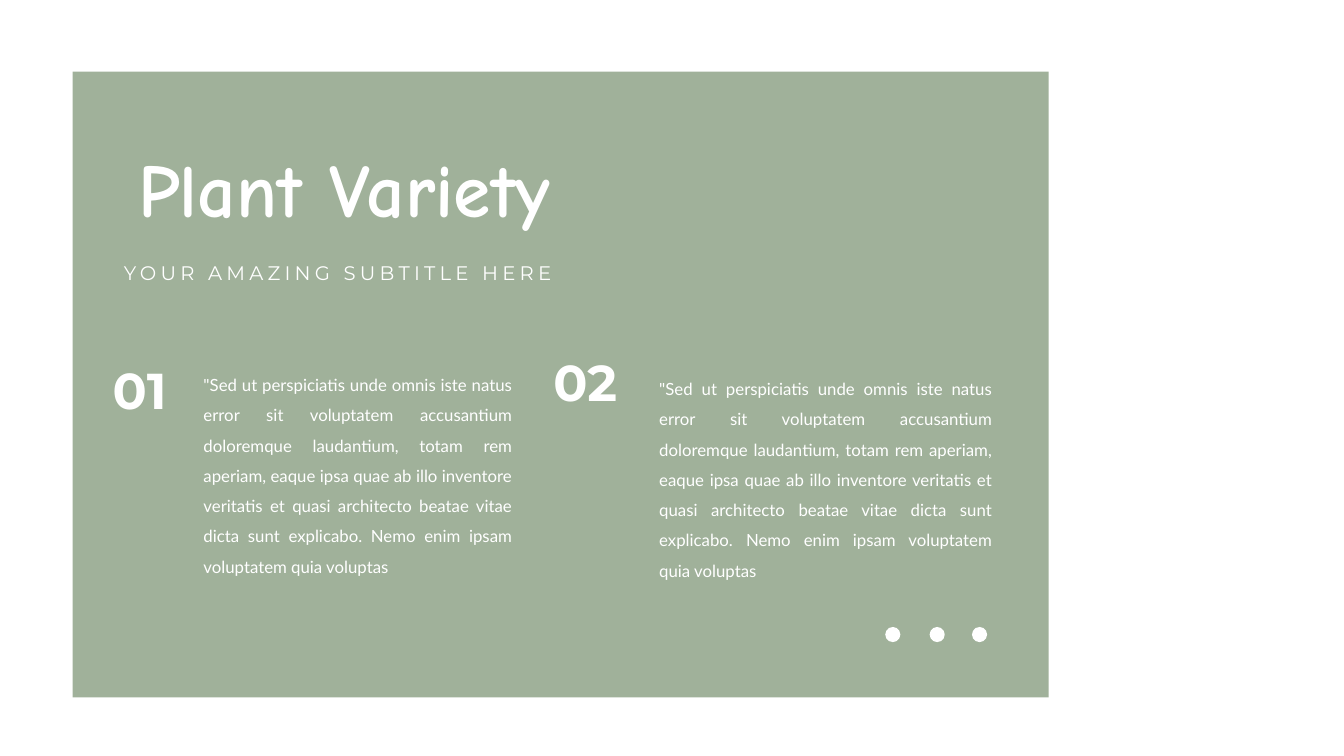
from pptx import Presentation
from pptx.dml.color import RGBColor
from pptx.enum.shapes import MSO_SHAPE as Shape
from pptx.enum.text import MSO_ANCHOR as Anchor, MSO_AUTO_SIZE as AutoSize, PP_ALIGN as Align
from pptx.util import Inches, Pt

SAGE = "A0B19A"
WHITE = "FFFFFF"
BODY = (
    '"Sed ut perspiciatis unde omnis iste natus error sit voluptatem accusantium '
    "doloremque laudantium, totam rem aperiam, eaque ipsa quae ab illo inventore "
    "veritatis et quasi architecto beatae vitae dicta sunt explicabo. Nemo enim "
    "ipsam voluptatem quia voluptas"
)

presentation = Presentation()
presentation.slide_width = Inches(13.33)
presentation.slide_height = Inches(7.5)
slide = presentation.slides.add_slide(presentation.slide_layouts[5])


def add_filled(kind, left, top, width, height, color):
    shape = slide.shapes.add_shape(
        kind, Inches(left), Inches(top), Inches(width), Inches(height))
    shape.shadow.inherit = False
    shape.fill.solid()
    shape.fill.fore_color.rgb = RGBColor.from_string(color)
    shape.line.fill.background()
    return shape


def write(text, left, top, width, height, *, size, font, shape=None, bold=False,
          align=Align.LEFT, anchor=Anchor.TOP, line_spacing=1.0, before=0,
          tracking=0):
    box = [Inches(value) for value in (left, top, width, height)]
    if shape is None:
        shape = slide.shapes.add_textbox(*box)
    shape.left, shape.top, shape.width, shape.height = box
    frame = shape.text_frame
    frame.word_wrap = True
    frame.auto_size = AutoSize.NONE
    frame.vertical_anchor = anchor
    paragraph = frame.paragraphs[0]
    paragraph.alignment = align
    paragraph.line_spacing = line_spacing
    paragraph.space_before = Pt(before)
    run = paragraph.add_run()
    run.text = text
    run.font.size = Pt(size)
    run.font.name = font
    run.font.bold = bold
    run.font.color.rgb = RGBColor.from_string(WHITE)
    if tracking:
        run.font._element.set("spc", str(tracking * 100))


# Green panel, moved behind the title placeholder
panel = add_filled(Shape.RECTANGLE, 0.72, 0.71, 9.68, 6.21, SAGE)
title = slide.shapes.title
title._element.addprevious(panel._element)

# Title and subtitle
write("Plant Variety", 1.27, 1.39, 4.92, 1.04, shape=title, size=54,
      font="Comic Neue", bold=True, anchor=Anchor.MIDDLE, line_spacing=0.9)
write("YOUR AMAZING SUBTITLE HERE", 1.13, 2.42, 5.19, 0.62, size=14,
      font="Montserrat", line_spacing=1.5, before=10, tracking=3)

# Numbered columns: number, its place, then the place and width of the text
columns = [
    ("01", 1.02, 3.51, 1.92, 3.57, 3.26),
    ("02", 5.39, 3.43, 6.44, 3.61, 3.5),
]
for number, number_left, number_top, left, top, width in columns:
    write(BODY, left, top, width, 2.15, size=12, font="Lato",
          align=Align.JUSTIFY, line_spacing=1.5, before=10)
    write(number, number_left, number_top, 1.04, 0.71, size=36,
          font="Montserrat", bold=True)

# Dots in the lower right corner
for left in (8.78, 9.22, 9.64):
    add_filled(Shape.OVAL, left, 6.22, 0.15, 0.15, WHITE)

presentation.save("out.pptx")
